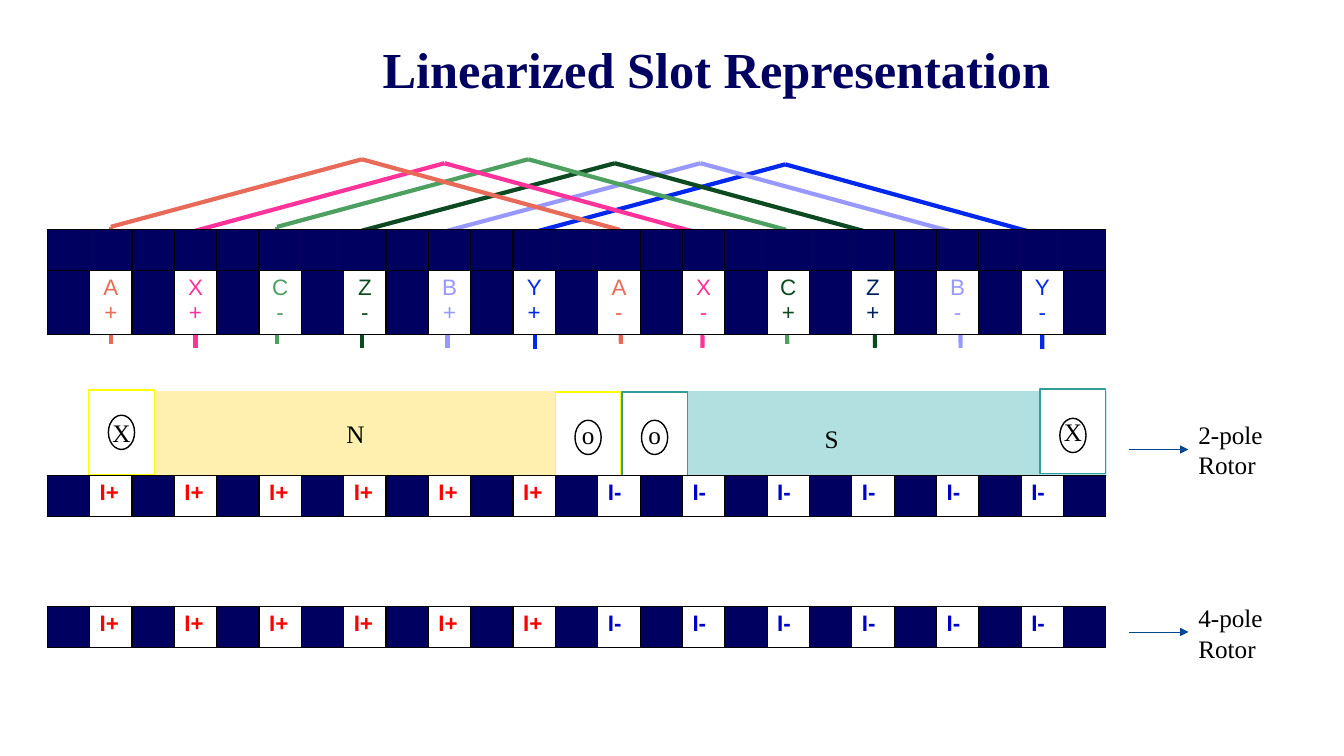
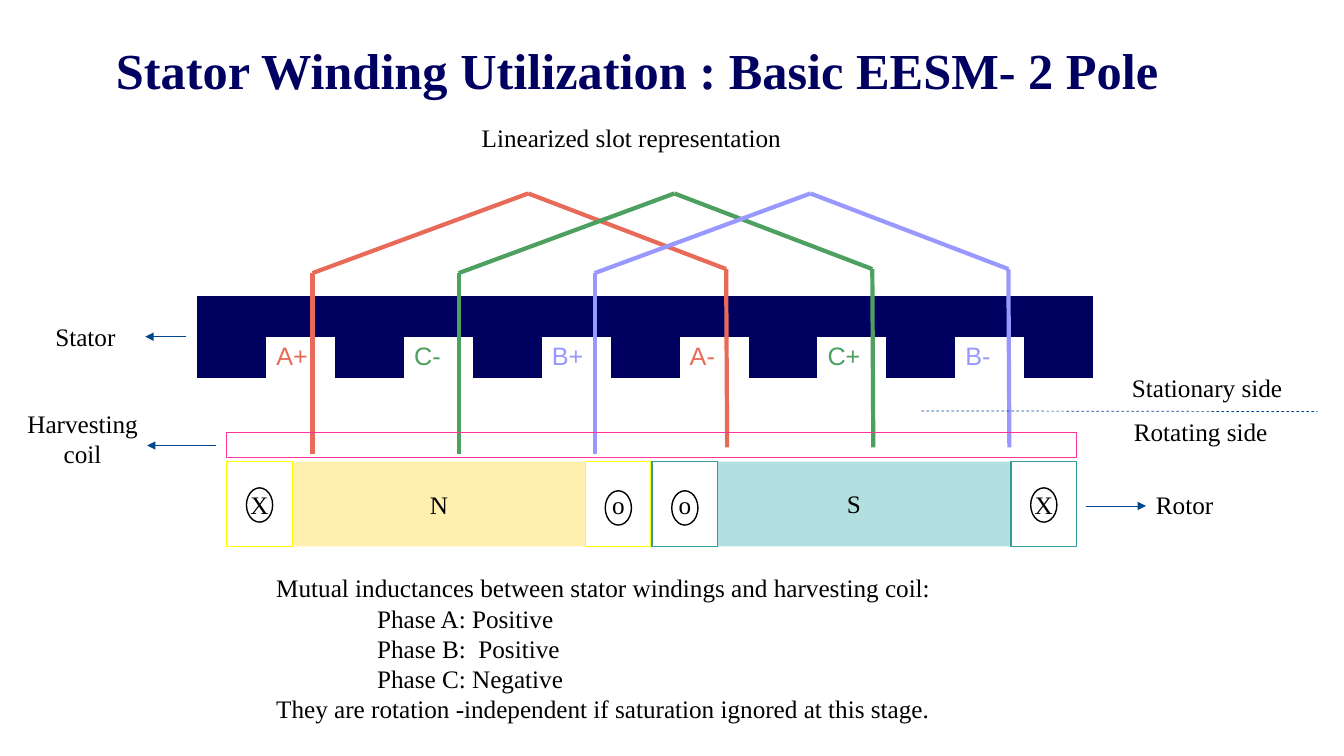
"""Build two slides on stator slots, windings and rotor poles."""
import pptx
import pptx.dml.color
import pptx.enum.dml
import pptx.enum.shapes
import pptx.enum.text
import pptx.oxml.ns
import pptx.oxml.xmlchemy
import pptx.util

Pt = pptx.util.Pt
RGB = pptx.dml.color.RGBColor
ALIGN = pptx.enum.text.PP_ALIGN
ANCHOR = pptx.enum.text.MSO_ANCHOR
SHAPE = pptx.enum.shapes.MSO_SHAPE
DASH = pptx.enum.dml.MSO_LINE.DASH
qn = pptx.oxml.ns.qn
new_element = pptx.oxml.xmlchemy.OxmlElement

NAVY = RGB(0x00, 0x00, 0x61)
BLACK = RGB(0x00, 0x00, 0x00)
WHITE = RGB(0xFF, 0xFF, 0xFF)
RED = RGB(0xFF, 0x00, 0x00)
CURRENT_BLUE = RGB(0x00, 0x00, 0xC8)
CORAL = RGB(0xE8, 0x6A, 0x58)
PINK = RGB(0xFF, 0x33, 0x99)
GREEN = RGB(0x4D, 0xA0, 0x60)
DARK_GREEN = RGB(0x0D, 0x4A, 0x21)
LILAC = RGB(0x98, 0x98, 0xFF)
BLUE = RGB(0x00, 0x28, 0xED)
DARK_BLUE = RGB(0x00, 0x20, 0x60)
ARROW_BLUE = RGB(0x00, 0x47, 0x91)
CREAM = RGB(0xFF, 0xF0, 0xB0)
AQUA = RGB(0xB2, 0xE0, 0xE0)
YELLOW = RGB(0xFF, 0xFF, 0x00)
TEAL = RGB(0x33, 0x9C, 0x9C)

SERIF, SANS = "Times New Roman", "Arial"
TITLE_FONT = {"name": SERIF, "size": Pt(36), "bold": True}
BODY_FONT = {"name": SERIF, "size": Pt(18), "bold": False}
PHASE_FONT = {"name": SANS, "size": Pt(16), "bold": False}
CURRENT_FONT = {"name": SANS, "size": Pt(16), "bold": True}
STATOR_FONT = {"name": SANS, "size": Pt(18), "bold": False}
NO_GRID_STYLE = "{2D5ABB26-0587-4C30-8999-92F81FD0307C}"

SLOT_W, POLE_H = 46.8, 60.5
RING_W, RING_H = 18.7, 24.5
SLOTS = [("X", YELLOW), ("o", YELLOW), ("o", TEAL), ("X", TEAL)]

SLOT_SLIDE = {
    "title": ("Linearized Slot Representation", 79.2, 23.8, ALIGN.CENTER),
    "coils": [
        (BLUE, (382.3, 560.9, 744.5), 117.4),
        (LILAC, (319.7, 500.4, 686.2), 116.6),
        (DARK_GREEN, (258.5, 439.2, 625), 116.6),
        (GREEN, (198, 377.3, 562.3), 113.8),
        (PINK, (139.7, 317.5, 501.8), 116.6),
        (CORAL, (79.2, 258.5, 443.5), 113.8),
    ],
    "drops": (48.2, 50.4, 131.8, 131.8),
    "phases": [
        ("A\n+", CORAL), ("X\n+", PINK), ("C\n-", GREEN), ("Z\n-", DARK_GREEN),
        ("B\n+", LILAC), ("Y\n+", BLUE), ("A\n-", CORAL), ("X\n-", PINK),
        ("C\n+", DARK_GREEN), ("Z\n+", DARK_BLUE), ("B\n-", LILAC), ("Y\n-", BLUE),
    ],
    "currents": [("I+", RED)] * 6 + [("I-", CURRENT_BLUE)] * 6,
    "current_tops": (339.8, 433.4),
    "rotor": {
        "top": 279.4,
        "poles": [(63.4, 380.9), (443.5, 347)],
        "slots": [(63.4, 278.6, 296.6), (396.7, 280.1, 300.2),
                  (444.2, 280.1, 300.2), (743, 277.9, 298.8)],
        "south": (581.8, 298.8),
    },
    "arrows": [(806.4, 321.1, 848.9), (806.4, 451.4, 848.9)],
    "labels": [
        ("2-pole Rotor", 848.9, 295.9, 87.8, 51, ALIGN.LEFT),
        ("4-pole Rotor", 848.9, 427, 87.8, 51, ALIGN.LEFT),
    ],
}

STATOR_SLIDE = {
    "title": ("Stator Winding Utilization : Basic EESM- 2 Pole", 75.6, 24.5, ALIGN.LEFT),
    "coil_shifts": [(CORAL, 0), (GREEN, 104.4), (LILAC, 201.6)],
    "coil_xs": (223.2, 377.3, 519.4),
    "coil_top": 138.2,
    "drops": (56.9, 54, 185.8, 181.4),
    "phases": [("A+", CORAL), ("C-", GREEN), ("B+", LILAC),
               ("A-", CORAL), ("C+", GREEN), ("B-", LILAC)],
    "rotor": {
        "top": 329.8,
        "poles": [(162, 303.1), (465.1, 303.1)],
        "slots": [(162, 329.8, 348.5), (418.3, 329.8, 350.6),
                  (465.8, 329.8, 350.6), (722.2, 329.8, 348.5)],
        "south": (597.6, 345.6),
    },
    "arrows": [(133.2, 240.5, 103.7), (775.4, 361.4, 818.6), (154.1, 318.2, 105.1)],
    "labels": [
        ("Linearized slot representation", 337, 84.2, 240, 28.8, ALIGN.LEFT),
        ("Stator", 32.4, 226.1, 71.3, 28.8, ALIGN.LEFT),
        ("Rotor", 818.6, 346.3, 71.3, 28.8, ALIGN.LEFT),
        ("Harvesting coil", 4.3, 288, 109.4, 51, ALIGN.CENTER),
        ("Rotating side", 802.8, 293.8, 144, 28.8, ALIGN.LEFT),
        ("Stationary side", 801.4, 262.1, 144, 28.8, ALIGN.LEFT),
    ],
    "harvesting_coil": (162, 308.9, 607, 18),
    "side_boundary": ((658.1, 293.5), (941, 294)),
    "inductances": [
        ("Mutual inductances between stator windings and harvesting coil:", 0),
        ("Phase A: Positive", 72),
        ("Phase B:  Positive", 72),
        ("Phase C: Negative", 72),
        ("They are rotation -independent if saturation ignored at this stage.", 0),
    ],
}


def assign(target, values):
    for name, value in values.items():
        setattr(target, name, value)


def place(target, *box):
    assign(target, dict(zip(("left", "top", "width", "height"), map(Pt, box))))


def write(frame, text, font, color, align):
    frame.text = text
    for paragraph in frame.paragraphs:
        paragraph.alignment = align
        assign(paragraph.font, font)
        paragraph.font.color.rgb = color


def add_label(slide, text, left, top, width, height, align):
    frame = slide.shapes.add_textbox(*map(Pt, (left, top, width, height))).text_frame
    frame.word_wrap = True
    write(frame, text, BODY_FONT, BLACK, align)


def add_block(slide, kind, box, fill=None, outline=None, text=""):
    block = slide.shapes.add_shape(kind, *map(Pt, box))
    block.shadow.inherit = False
    if fill is None:
        block.fill.background()
    else:
        block.fill.solid()
        block.fill.fore_color.rgb = fill
    if outline is None:
        block.line.fill.background()
    else:
        block.line.color.rgb = outline
        block.line.width = Pt(1)
    if text:
        block.text_frame.vertical_anchor = ANCHOR.MIDDLE
        write(block.text_frame, text, BODY_FONT, BLACK, ALIGN.CENTER)


def add_line(slide, start, end, color, width, dash=None, arrow=False):
    straight = pptx.enum.shapes.MSO_CONNECTOR.STRAIGHT
    line = slide.shapes.add_connector(straight, *map(Pt, start + end))
    line.line.color.rgb = color
    line.line.width = Pt(width)
    if dash:
        line.line.dash_style = dash
    properties = line._element.spPr
    if arrow:
        head = new_element("a:tailEnd")
        head.set("type", "triangle")
        properties.find(qn("a:ln")).append(head)
    properties.append(new_element("a:effectLst"))


def add_coil(slide, color, xs, top, drops):
    left, peak, right = xs
    left_shoulder, right_shoulder, left_foot, right_foot = drops
    points = [(left, top + left_foot), (left, top + left_shoulder), (peak, top),
              (right - 0.7, top + right_shoulder), (right, top + right_foot)]
    for start, end in zip(points, points[1:]):
        add_line(slide, start, end, color, 3)


def add_border(cell):
    properties = cell._tc.get_or_add_tcPr()
    for position, side in enumerate(("a:lnL", "a:lnR", "a:lnT", "a:lnB")):
        edge = new_element(side)
        edge.set("w", str(Pt(1)))
        fill = new_element("a:solidFill")
        color = new_element("a:srgbClr")
        color.set("val", str(BLACK))
        fill.append(color)
        edge.append(fill)
        properties.insert(position, edge)


def add_slots(slide, entries, left, top, width, heights, font, align, border):
    count = 2 * len(entries) + 1
    core = slide.shapes.add_table(
        len(heights), count, *map(Pt, (left, top, width, sum(heights)))).table
    core._tbl.tblPr.find(qn("a:tableStyleId")).text = NO_GRID_STYLE
    assign(core, {"first_row": False, "horz_banding": False})
    for column in core.columns:
        column.width = Pt(width / count)
    for row_index, height in enumerate(heights):
        core.rows[row_index].height = Pt(height)
        for index in range(count):
            cell = core.cell(row_index, index)
            is_slot = row_index == len(heights) - 1 and index % 2 == 1
            cell.fill.solid()
            cell.fill.fore_color.rgb = WHITE if is_slot else NAVY
            if border:
                add_border(cell)
            if is_slot:
                text, color = entries[index // 2]
                write(cell.text_frame, text, font, color, align)


def add_rotor(slide, rotor):
    for (left, width), fill, text in zip(rotor["poles"], (CREAM, AQUA), ("N", "")):
        add_block(slide, SHAPE.RECTANGLE, (left, rotor["top"], width, POLE_H), fill, text=text)
    add_label(slide, "S", *rotor["south"], 24.5, 28.8, ALIGN.CENTER)
    for (left, top, ring_top), (mark, outline) in zip(rotor["slots"], SLOTS):
        add_block(slide, SHAPE.RECTANGLE, (left, top, SLOT_W, POLE_H), WHITE, outline, mark)
        ring_left = left + (SLOT_W - RING_W) / 2
        add_block(slide, SHAPE.OVAL, (ring_left, ring_top, RING_W, RING_H), outline=BLACK)


def start_slide(deck, layout, content):
    slide = deck.slides.add_slide(deck.slide_layouts[layout])
    text, left, top, align = content["title"]
    title = slide.shapes.title
    place(title, left, top, 865.4, 44.6)
    frame = title.text_frame
    write(frame, text, TITLE_FONT, NAVY, align)
    assign(frame, {"vertical_anchor": ANCHOR.TOP, "word_wrap": True,
                   "auto_size": pptx.enum.text.MSO_AUTO_SIZE.NONE,
                   "margin_top": Pt(8.64), "margin_bottom": Pt(3.6)})
    frame.paragraphs[0].line_spacing = 0.9
    for start_x, y, end_x in content["arrows"]:
        add_line(slide, (start_x, y), (end_x, y), ARROW_BLUE, 0.5, arrow=True)
    for label in content["labels"]:
        add_label(slide, *label)
    return slide


def add_inductances(slide, lines):
    body = slide.placeholders[1]
    place(body, 190.1, 405.4, 635.8, 116.6)
    frame = body.text_frame
    frame.auto_size = pptx.enum.text.MSO_AUTO_SIZE.NONE
    frame.text = "\n".join(text for text, _ in lines)
    for paragraph, (_, indent) in zip(frame.paragraphs, lines):
        properties = paragraph._p.get_or_add_pPr()
        properties.set("marL", str(Pt(indent)))
        properties.set("indent", "0")
        properties.append(new_element("a:buNone"))
        paragraph.space_before = Pt(0)
        assign(paragraph.font, BODY_FONT)
        paragraph.font.color.rgb = BLACK


def build_slot_slide(deck):
    content = SLOT_SLIDE
    slide = start_slide(deck, 5, content)
    for color, xs, top in content["coils"]:
        add_coil(slide, color, xs, top, content["drops"])
    add_slots(slide, content["phases"], 33.8, 164.2, 756.7, (28, 43),
              PHASE_FONT, ALIGN.CENTER, True)
    add_rotor(slide, content["rotor"])
    for top in content["current_tops"]:
        add_slots(slide, content["currents"], 33.8, top, 756.7, (29.3,),
                  CURRENT_FONT, ALIGN.LEFT, True)


def build_stator_slide(deck):
    content = STATOR_SLIDE
    slide = start_slide(deck, 1, content)
    add_slots(slide, content["phases"], 141, 211.7, 640, (29.3, 29.3),
              STATOR_FONT, ALIGN.LEFT, False)
    for color, shift in content["coil_shifts"]:
        xs = [x + shift for x in content["coil_xs"]]
        add_coil(slide, color, xs, content["coil_top"], content["drops"])
    add_rotor(slide, content["rotor"])
    add_block(slide, SHAPE.RECTANGLE, content["harvesting_coil"], outline=PINK)
    add_line(slide, *content["side_boundary"], ARROW_BLUE, 0.5, dash=DASH)
    add_inductances(slide, content["inductances"])


def main():
    deck = pptx.Presentation()
    assign(deck, {"slide_width": Pt(960), "slide_height": Pt(540)})
    build_slot_slide(deck)
    build_stator_slide(deck)
    deck.save("out.pptx")


if __name__ == "__main__":
    main()
